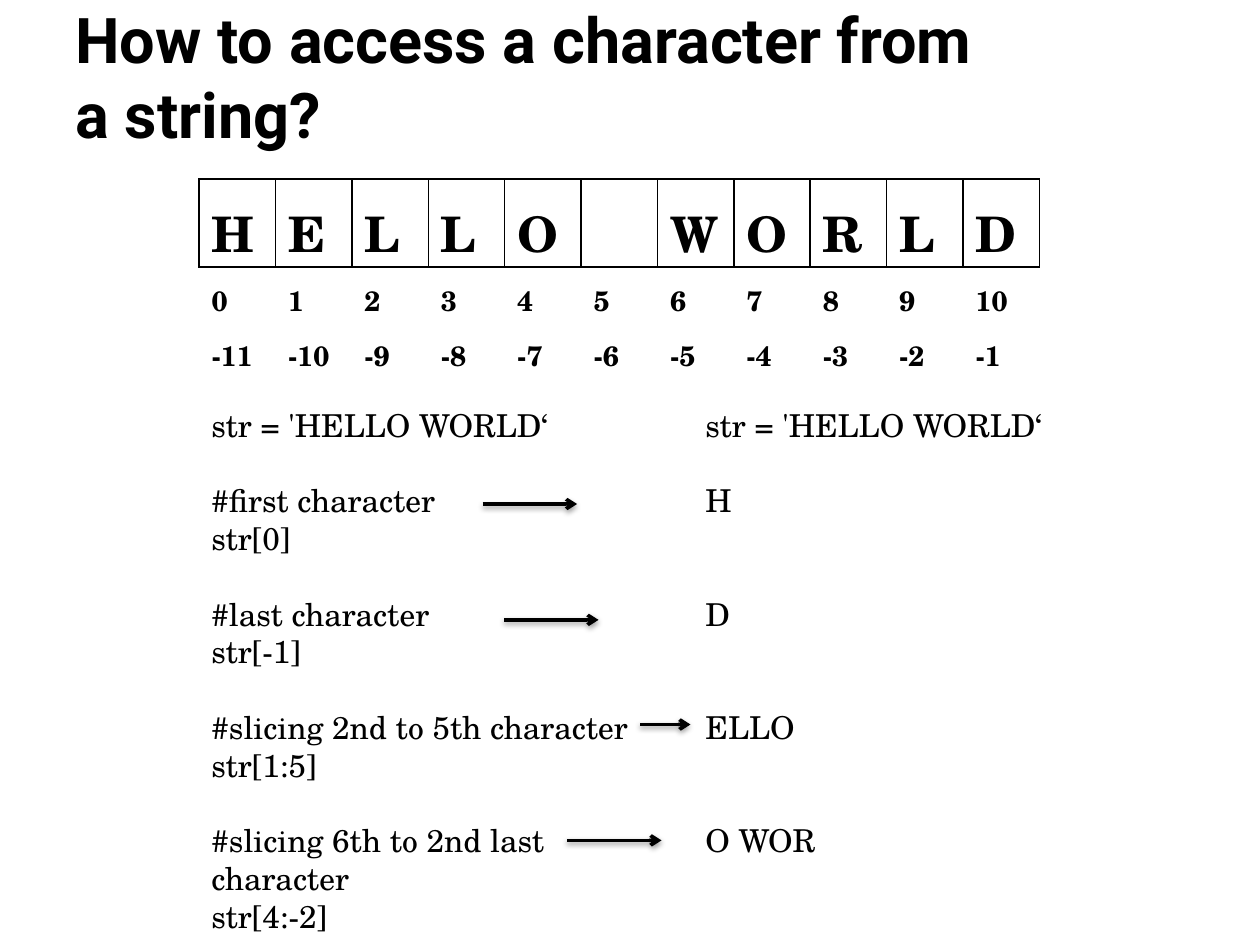
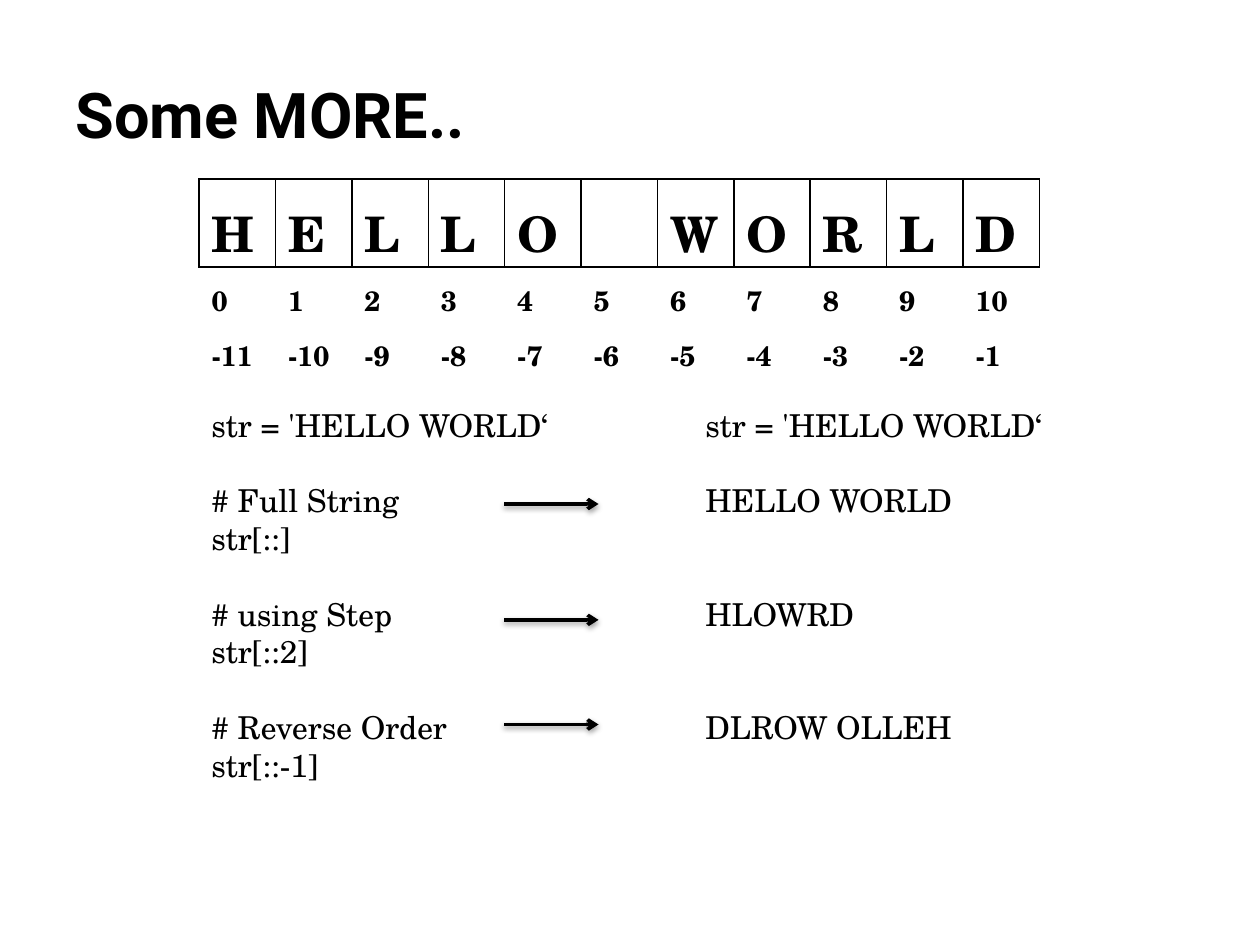
from lxml.etree import SubElement
from pptx import Presentation
from pptx.dml.color import RGBColor
from pptx.enum.shapes import MSO_CONNECTOR
from pptx.enum.text import MSO_ANCHOR
from pptx.oxml import parse_xml
from pptx.oxml.ns import nsdecls, qn
from pptx.util import Inches, Pt

COLORS = {"ink": "000000", "paper": "FFFFFF"}
HEAD, BODY = "Roboto", "TeX Gyre Schola"
WORD = "HELLO WORLD"
CODE = "str = 'HELLO WORLD‘"
LINE = 21.6  # points between two lines of 18 point text
ROWS = [0.7, 0.44, 0.44]
ARROWS = [4, 4.92, 5.75, 6.67]  # heights of the arrows

# note, code, result, arrow start, arrow end
ACCESS = [
    ("#first character", "str[0]", "H", 3.83, 4.58),
    ("#last character", "str[-1]", "D", 4, 4.75),
    ("#slicing 2nd to 5th character", "str[1:5]", "ELLO", 5.08, 5.48),
    ("#slicing 6th to 2nd last character", "str[4:-2]", "O WOR", 4.5, 5.25),
]
MORE = [
    ("# Full String", "str[::]", "HELLO WORLD", 4, 4.75),
    ("# using Step", "str[::2]", "HLOWRD", 4, 4.75),
    ("# Reverse Order", "str[::-1]", "DLROW OLLEH", 4, 4.75),
]


def color(name):
    return RGBColor.from_string(COLORS[name])


def add_run(par, text, size, font=BODY, bold=False):
    run = par.add_run()
    run.text = text
    run.font.name = font
    run.font.size = Pt(size)
    run.font.bold = bold
    run.font.color.rgb = color("ink")


def add_box(slide, left, top, width, height):
    box = slide.shapes.add_textbox(
        Inches(left), Inches(top), Inches(width), Inches(height))
    box.text_frame.word_wrap = True
    return box.text_frame


def add_title(slide, text):
    frame = add_box(slide, 0.5, 0.08, 7.42, 1.17)
    frame.vertical_anchor = MSO_ANCHOR.BOTTOM
    add_run(frame.paragraphs[0], text, 36, HEAD, True)


def add_lines(slide, left, rows, count):
    """Write (text, blank lines before it) rows in a box count lines high."""
    frame = add_box(slide, left, 3.17, 3.83, 0.1 + 0.3 * count)
    for i, (text, gap) in enumerate(rows):
        par = frame.add_paragraph() if i else frame.paragraphs[0]
        par.space_before = Pt(gap * LINE)
        add_run(par, text, 18)


def set_edges(cell, shown):
    """Draw the named sides of a cell and hide the others."""
    props = cell._tc.get_or_add_tcPr()
    for i, side in enumerate("LRTB"):
        edge = parse_xml(f'<a:ln{side} {nsdecls("a")} w="12700"/>')
        if side in shown:
            fill = SubElement(edge, qn("a:solidFill"))
            SubElement(fill, qn("a:srgbClr"), val=COLORS["ink"])
        else:
            SubElement(edge, qn("a:noFill"))
        props.insert(i, edge)


def add_index(slide):
    """Show each letter above its index from the start and from the end."""
    size = len(WORD)
    wide = Inches(6.67)
    table = slide.shapes.add_table(
        len(ROWS), size, Inches(1.58), Inches(1.42),
        wide, Inches(sum(ROWS))).table
    table.first_row = table.horz_banding = False
    for row, high in zip(table.rows, ROWS):
        row.height = Inches(high)
    for c, char in enumerate(WORD):
        table.columns[c].width = wide // size
        for r, text in enumerate((char.strip(), str(c), str(c - size))):
            cell = table.cell(r, c)
            cell.margin_top = Inches(0.09 if r else 0.13)
            cell.fill.background()
            set_edges(cell, ("LRTB", "T", "")[r])
            if text:
                add_run(cell.text_frame.paragraphs[0], text,
                        16 if r else 28, bold=True)


def add_arrow(slide, start, end, y):
    line = slide.shapes.add_connector(
        MSO_CONNECTOR.STRAIGHT,
        Inches(start), Inches(y), Inches(end), Inches(y))
    line.line.color.rgb = color("ink")
    line.line.width = Pt(2)
    SubElement(line.line._get_or_add_ln(), qn("a:tailEnd"), type="arrow")
    props = line._element.spPr
    effects = SubElement(props, qn("a:effectLst"))
    shade = SubElement(effects, qn("a:outerShdw"), blurRad="40000",
                       dist="20000", dir="5400000", rotWithShape="0")
    ink = SubElement(shade, qn("a:srgbClr"), val=COLORS["ink"])
    SubElement(ink, qn("a:alpha"), val="38000")


def add_lesson(deck, title, steps, wraps=0):
    """Add a slide; wraps is the number of notes that take two lines."""
    slide = deck.slides.add_slide(deck.slide_layouts[6])
    slide.background.fill.solid()
    slide.background.fill.fore_color.rgb = color("paper")
    add_title(slide, title)
    add_index(slide)
    calls, results = [(CODE, 0)], [(CODE, 0)]
    for i, (note, code, result, start, end) in enumerate(steps):
        calls += [(note, 1), (code, 0)]
        results.append((result, 2 if i else 1))
        add_arrow(slide, start, end, ARROWS[i])
    count = 3 * len(steps)
    add_lines(slide, 1.58, calls, count + 1 + wraps)
    add_lines(slide, 5.5, results, count)


def main():
    deck = Presentation()
    deck.slide_width, deck.slide_height = Inches(10), Inches(7.5)
    add_lesson(deck, "How to access a character from a string?", ACCESS, 1)
    add_lesson(deck, "Some MORE..", MORE)
    deck.save("out.pptx")


if __name__ == "__main__":
    main()
